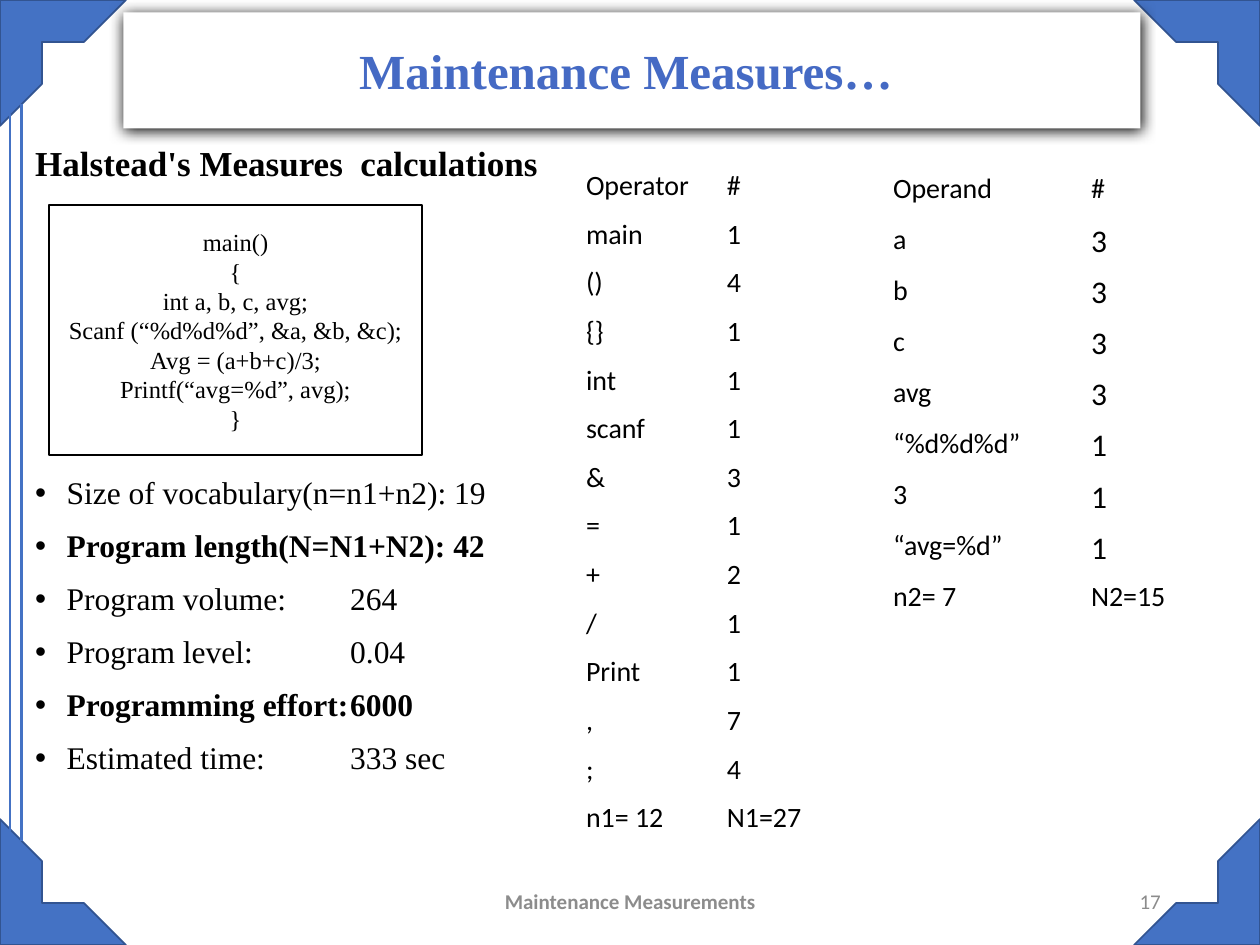
import pptx
import pptx.util
import pptx.dml.color
import pptx.enum.shapes
import pptx.enum.text
import pptx.oxml
import pptx.oxml.ns

Cm, Pt = pptx.util.Cm, pptx.util.Pt
SHAPE = pptx.enum.shapes.MSO_SHAPE
ALIGN = pptx.enum.text.PP_ALIGN
ANCHOR = pptx.enum.text.MSO_ANCHOR
NS = pptx.oxml.ns.nsdecls("a")
SERIF, SANS = "Times New Roman", "Calibri"
BLUE, BLACK, WHITE, GREY = "4472C4", "000000", "FFFFFF", "8C8C8C"


def rgb(value):
    return pptx.dml.color.RGBColor.from_string(value)


def add_xml(parent, xml):
    parent.append(pptx.oxml.parse_xml(xml))


def write(tf, text, size=16, font=SANS, color=BLACK, bold=False,
          align=ALIGN.LEFT, anchor=ANCHOR.TOP, bold_lines=()):
    tf.word_wrap = True
    tf.vertical_anchor = anchor
    for i, line in enumerate(text.split("\n")):
        p = tf.paragraphs[0] if i == 0 else tf.add_paragraph()
        p.alignment = align
        r = p.add_run()
        r.text = line
        r.font.size = Pt(size)
        r.font.name = font
        r.font.bold = bold or i in bold_lines
        r.font.color.rgb = rgb(color)


def add_text(s, box, text, **fmt):
    tf = s.shapes.add_textbox(*map(Cm, box)).text_frame
    write(tf, text, **fmt)
    return tf


def add_panel(s, box, kind=SHAPE.RECTANGLE, fill=WHITE, line=None):
    sp = s.shapes.add_shape(kind, *map(Cm, box))
    sp.shadow.inherit = False
    sp.fill.solid()
    sp.fill.fore_color.rgb = rgb(fill)
    if line:
        sp.line.color.rgb = rgb(line)
        sp.line.width = Pt(1)
    else:
        sp.line.fill.background()
    return sp


def add_frame(s, box):
    x, y, w, h = box
    size = 2.54
    right, bottom = x + w - size, y + h - size
    corners = [(x, y), (right, y), (right, bottom), (x, bottom)]
    for i, (left, top) in enumerate(corners):
        sp = add_panel(s, (left, top, size, size), SHAPE.HALF_FRAME, BLUE, "325491")
        sp.rotation = 90 * i
    for dx, inset in ((0.2, 2.3), (0.43, 2.1)):
        c = s.shapes.add_connector(
            pptx.enum.shapes.MSO_CONNECTOR.STRAIGHT,
            Cm(x + dx), Cm(y + inset), Cm(x + dx), Cm(y + h - inset))
        c.line.color.rgb = rgb(BLUE)
        c.line.width = Pt(1.5)
        add_xml(c._element.spPr, f"<a:effectLst {NS}/>")


def add_title(s, box, text):
    sp = add_panel(s, box)
    effects = sp._element.spPr.find(pptx.oxml.ns.qn("a:effectLst"))
    add_xml(effects, f'<a:outerShdw {NS} blurRad="{Pt(8.5)}" dist="{Pt(1)}" '
                     f'dir="5400000" algn="t" rotWithShape="0">'
                     f'<a:srgbClr val="{BLACK}"/></a:outerShdw>')
    write(sp.text_frame, text, size=28, font=SERIF, color="456AC4", bold=True,
          align=ALIGN.CENTER, anchor=ANCHOR.MIDDLE)


def add_measures(s, box, heading, code, results):
    x, y, w, h = box
    tf = add_text(s, (x, y, w, 1.1), heading, size=20, font=SERIF, bold=True)
    tf.paragraphs[0].line_spacing = 0.9
    sp = add_panel(s, (x + 0.53, y + 1.32, 7.52, 5.03), line=BLACK)
    write(sp.text_frame, code, size=14, font=SERIF,
          align=ALIGN.CENTER, anchor=ANCHOR.MIDDLE)
    tf = add_text(s, (x, y + 6.68, w, h - 6.68), results, size=18, font=SERIF,
                  bold_lines=(1, 4))
    for i, p in enumerate(tf.paragraphs):
        p.line_spacing = 0.9
        p.space_before = Pt(10.8 if i else 0)
        pPr = p._p.get_or_add_pPr()
        pPr.set("marL", str(Cm(0.635)))
        pPr.set("indent", str(-Cm(0.635)))
        add_xml(pPr, f'<a:buFont {NS} typeface="Arial"/>')
        add_xml(pPr, f'<a:buChar {NS} char="•"/>')


def add_counts(s, box, widths, rows, count_size=16):
    table = s.shapes.add_table(len(rows), len(widths), *map(Cm, box)).table
    table.first_row = table.horz_banding = False
    for col, width in zip(table.columns, widths):
        col.width = Cm(width)
    for i, row in enumerate(rows):
        table.rows[i].height = Cm(box[3] / len(rows))
        for j, text in enumerate(row):
            cell = table.cell(i, j)
            cell.fill.background()
            is_count = j == 1 and 0 < i < len(rows) - 1
            write(cell.text_frame, text, size=count_size if is_count else 16)


def add_footer(s, box, text, number):
    x, y, w, h = box
    fmt = dict(size=12, color=GREY, anchor=ANCHOR.MIDDLE)
    add_text(s, (x, y, 8.59, h), text, bold=True, align=ALIGN.CENTER, **fmt)
    add_text(s, (x + w - 5.72, y, 5.72, h), number, align=ALIGN.RIGHT, **fmt)


CODE = """main()
{
int a, b, c, avg;
Scanf (“%d%d%d”, &a, &b, &c);
Avg = (a+b+c)/3;
Printf(“avg=%d”, avg);
}"""
RESULTS = """Size of vocabulary(n=n1+n2): 19
Program length(N=N1+N2): 42
Program volume:\t\t264
Program level:\t\t0.04
Programming effort:\t6000
Estimated time:\t\t333 sec"""
OPERATORS = [
    ("Operator", "#"), ("main", "1"), ("()", "4"), ("{}", "1"), ("int", "1"),
    ("scanf", "1"), ("&", "3"), ("=", "1"), ("+", "2"), ("/", "1"),
    ("Print", "1"), (",", "7"), (";", "4"), ("n1= 12", "N1=27")]
OPERANDS = [
    ("Operand", "#"), ("a", "3"), ("b", "3"), ("c", "3"), ("avg", "3"),
    ("“%d%d%d”", "1"), ("3", "1"), ("“avg=%d”", "1"), ("n2= 7", "N2=15")]


def main():
    prs = pptx.Presentation()
    prs.slide_width, prs.slide_height = Cm(25.4), Cm(19.05)
    s = prs.slides.add_slide(prs.slide_layouts[6])
    add_frame(s, (0, 0, 25.4, 19.05))
    add_measures(s, (0.46, 2.82, 11, 14.15),
                 "Halstead's Measures  calculations", CODE, RESULTS)
    add_counts(s, (11.56, 3.28, 5.48, 13.72), (2.84, 2.64), OPERATORS)
    add_counts(s, (17.75, 3.33, 6.1, 9.27), (3.99, 2.11), OPERANDS, count_size=18)
    add_footer(s, (8.41, 17.65, 15.24, 1.02), "Maintenance Measurements", "17")
    add_title(s, (2.49, 0.25, 20.5, 2.34), "Maintenance Measures… ")
    prs.save("out.pptx")


if __name__ == "__main__":
    main()
